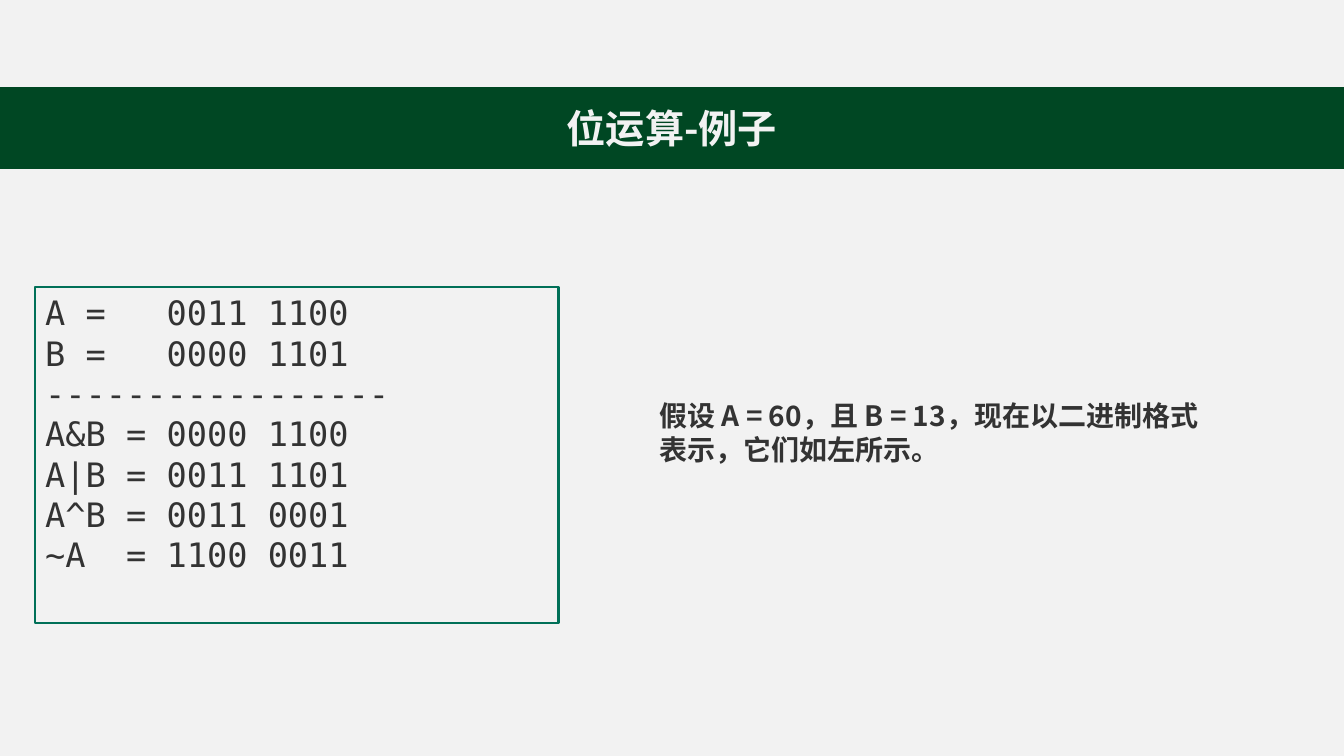
from lxml import etree
from pptx import Presentation
from pptx import util as u
from pptx.dml.color import RGBColor
from pptx.enum import shapes, text
from pptx.oxml.ns import qn

COLORS = {"page": "F2F2F2", "band": "004723", "border": "017058", "ink": "333333"}
SANS, MONO = "Noto Sans CJK SC", "DejaVu Sans Mono"


def rgb(name):
    return RGBColor.from_string(COLORS[name])


def write(sp, lines, face, size, color, bold, align, anchor):
    tf = sp.text_frame
    tf.word_wrap = True
    tf.auto_size = text.MSO_AUTO_SIZE.NONE
    tf.vertical_anchor = anchor
    tf.text = "\n".join(lines)
    for p in tf.paragraphs:
        p.alignment = align
        p.font.name, p.font.size, p.font.bold = face, u.Pt(size), bold
        p.font.color.rgb = rgb(color)
        # East Asian typeface goes right after the Latin one
        latin = p._p.pPr.find(qn("a:defRPr")).find(qn("a:latin"))
        ea = etree.Element(qn("a:ea"), typeface=face)
        latin.addnext(ea)


prs = Presentation()
prs.slide_width, prs.slide_height = u.Inches(13.33), u.Inches(7.5)
s = prs.slides.add_slide(prs.slide_layouts[5])

# Page panel, sent behind the title
page = s.shapes.add_shape(shapes.MSO_SHAPE.RECTANGLE, 0, 0,
                          prs.slide_width, prs.slide_height)
page.shadow.inherit = False
page.fill.solid()
page.fill.fore_color.rgb = rgb("page")
page.line.fill.background()
s.shapes.title._element.addprevious(page._element)

# Title band
title = s.shapes.title
title.left, title.top = u.Inches(0), u.Inches(0.87)
title.width, title.height = prs.slide_width, u.Inches(0.8)
title.fill.solid()
title.fill.fore_color.rgb = rgb("band")
title.line.color.rgb = rgb("band")
title.line.width = u.Pt(1)
write(title, ["位运算-例子"], SANS, 28, "page", True,
      text.PP_ALIGN.CENTER, text.MSO_ANCHOR.MIDDLE)

# Framed code listing
code = s.shapes.add_shape(shapes.MSO_SHAPE.RECTANGLE, u.Inches(0.35), u.Inches(2.85),
                          u.Inches(5.19), u.Inches(3.33))
code.shadow.inherit = False
code.fill.background()
code.line.color.rgb = rgb("border")
code.line.width = u.Pt(1.5)
listing = [
    "A =   0011 1100",
    "B =   0000 1101",
    "-----------------",
    "A&B = 0000 1100",
    "A|B = 0011 1101",
    "A^B = 0011 0001",
    "~A  = 1100 0011",
]
write(code, listing, MONO, 24, "ink", False, text.PP_ALIGN.LEFT, text.MSO_ANCHOR.TOP)

# Explanation
note = s.shapes.add_textbox(u.Inches(6.44), u.Inches(3.9), u.Inches(5.57), u.Inches(0.78))
write(note, ["假设 A = 60，且 B = 13，现在以二进制格式表示，它们如左所示。"], SANS, 20, "ink",
      True, text.PP_ALIGN.LEFT, text.MSO_ANCHOR.MIDDLE)

prs.save("out.pptx")
